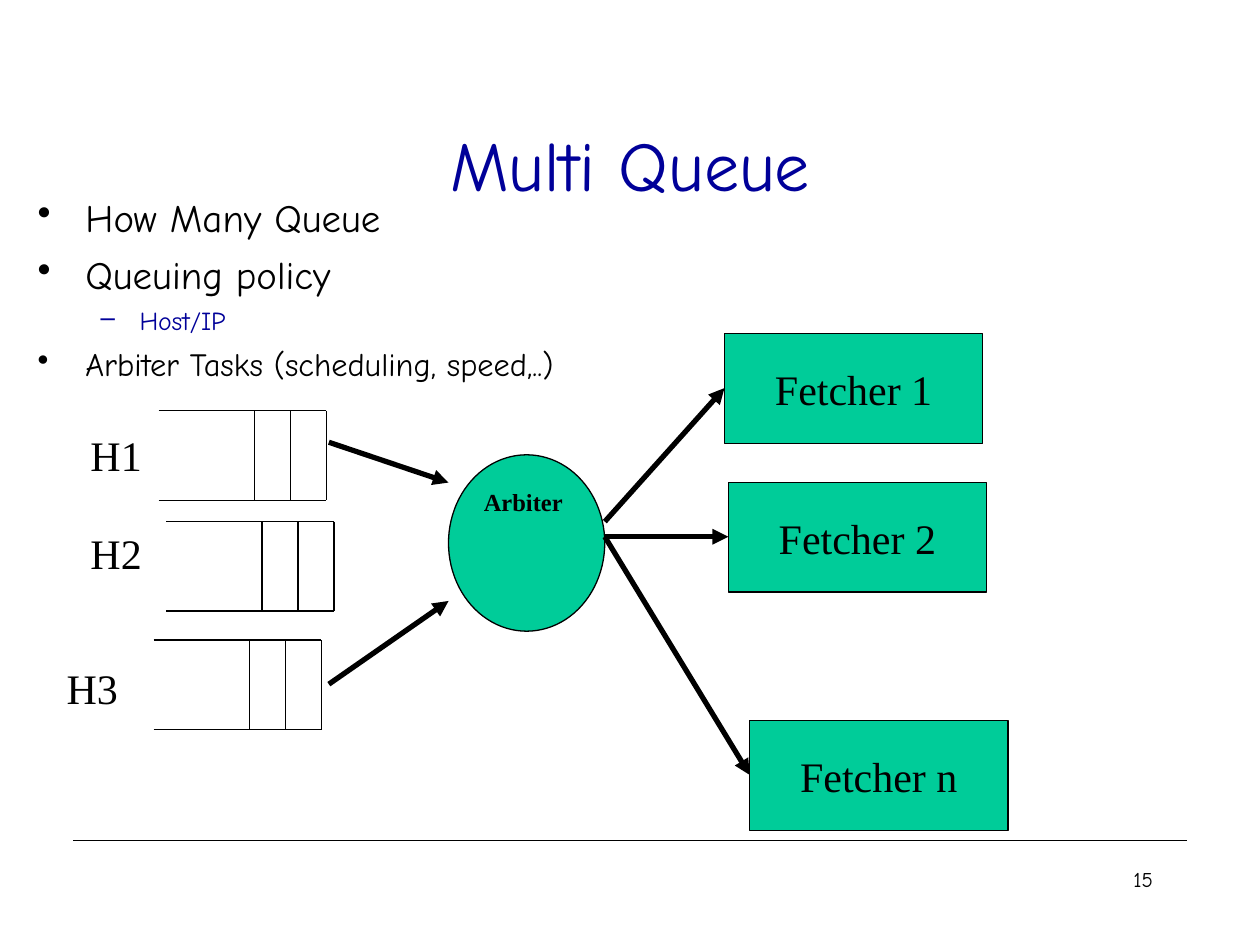
from typing import NamedTuple

from lxml import etree
from pptx import Presentation
from pptx.dml.color import RGBColor
from pptx.enum.shapes import MSO_CONNECTOR, MSO_SHAPE
from pptx.enum.text import MSO_ANCHOR, PP_ALIGN
from pptx.oxml.ns import qn
from pptx.util import Inches, Pt

STRAIGHT = MSO_CONNECTOR.STRAIGHT
RECTANGLE, OVAL = MSO_SHAPE.RECTANGLE, MSO_SHAPE.OVAL
TOP, MIDDLE = MSO_ANCHOR.TOP, MSO_ANCHOR.MIDDLE
LEFT, CENTER, RIGHT = PP_ALIGN.LEFT, PP_ALIGN.CENTER, PP_ALIGN.RIGHT
BLACK, NAVY, GREEN = "000000", "000099", "00CC99"
HAND, SERIF = "Comic Neue", "Times New Roman"
THIN, THICK = 0.74, 3


class Bullet(NamedTuple):
    text: str
    level: int
    size: float
    space_before: float


class Queue(NamedTuple):
    label: str
    label_left: float
    label_top: float
    left: float
    top: float


class Fetcher(NamedTuple):
    label: str
    left: float
    top: float


class Arrow(NamedTuple):
    start: tuple[float, float]
    end: tuple[float, float]


class BulletStyle(NamedTuple):
    mark: str
    color: str
    margin: float
    hanging: float


BULLET_STYLES = [BulletStyle("•", BLACK, 0.38, 0.38), BulletStyle("–", NAVY, 0.81, 0.31)]
BULLETS = [
    Bullet("How Many Queue", 0, 22.2, 6),
    Bullet("Queuing policy", 0, 22.2, 6),
    Bullet("Host/IP", 1, 14.8, 4),
    Bullet("Arbiter Tasks (scheduling, speed,..)", 0, 18.5, 5),
]
QUEUES = [
    Queue("H1", 0.62, 3.36, 1.26, 3.26),
    Queue("H2", 0.62, 4.14, 1.32, 4.14),
    Queue("H3", 0.43, 5.21, 1.22, 5.08),
]
QUEUE_WIDTH, QUEUE_HEIGHT, SLOT_WIDTH = 1.33, 0.71, 0.285
FETCHERS = [
    Fetcher("Fetcher 1", 5.75, 2.65),
    Fetcher("Fetcher 2", 5.78, 3.83),
    Fetcher("Fetcher n", 5.95, 5.72),
]
ARROWS = [
    Arrow((2.61, 3.51), (3.56, 3.83)),
    Arrow((2.61, 5.43), (3.56, 4.77)),
    Arrow((4.8, 4.14), (5.75, 3.08)),
    Arrow((4.8, 4.26), (5.78, 4.26)),
    Arrow((4.8, 4.26), (5.95, 6.15)),
]


def rgb(color: str) -> RGBColor:
    """Turn a hex string into a colour."""
    return RGBColor.from_string(color)


def style_paragraph(paragraph, size, font=SERIF, color=BLACK, align=LEFT, bold=False) -> None:
    """Set the font and alignment of a paragraph."""
    paragraph.alignment = align
    paragraph.font.size = Pt(size)
    paragraph.font.name = font
    paragraph.font.bold = bold
    paragraph.font.color.rgb = rgb(color)


def add_line(shapes, start, end, width=THIN, arrow=False) -> None:
    """Draw a straight black line, optionally with an arrowhead at its end."""
    line = shapes.add_connector(STRAIGHT, *(Inches(value) for value in (*start, *end)))
    line.line.width = Pt(width)
    line.line.color.rgb = rgb(BLACK)
    if arrow:
        etree.SubElement(line.line._get_or_add_ln(), qn("a:tailEnd"), type="triangle")
    etree.SubElement(line._element.spPr, qn("a:effectLst"))


def add_label(slide, text, left, top, width, size, font=SERIF, align=LEFT) -> None:
    """Add a one-line text box."""
    box = slide.shapes.add_textbox(Inches(left), Inches(top), Inches(width), Inches(0.5))
    box.text_frame.word_wrap = True
    box.text_frame.text = text
    style_paragraph(box.text_frame.paragraphs[0], size, font, align=align)


def add_node(slide, kind, bounds, text, size, anchor=MIDDLE, align=CENTER, bold=False) -> None:
    """Add a green outlined shape with text."""
    shape = slide.shapes.add_shape(kind, *(Inches(value) for value in bounds))
    shape.shadow.inherit = False
    shape.fill.solid()
    shape.fill.fore_color.rgb = rgb(GREEN)
    shape.line.color.rgb = rgb(BLACK)
    shape.line.width = Pt(THIN)
    frame = shape.text_frame
    frame.word_wrap = kind == OVAL
    frame.vertical_anchor = anchor
    frame.text = text
    style_paragraph(frame.paragraphs[0], size, align=align, bold=bold)


def add_queue(slide, queue: Queue) -> None:
    """Draw an open-ended queue with two slots, and its label."""
    group = slide.shapes.add_group_shape()
    right, bottom = queue.left + QUEUE_WIDTH, queue.top + QUEUE_HEIGHT
    for y in (queue.top, bottom):
        add_line(group.shapes, (queue.left, y), (right, y))
    for slot in range(3):
        x = right - slot * SLOT_WIDTH
        add_line(group.shapes, (x, queue.top), (x, bottom))
    add_label(slide, queue.label, queue.label_left, queue.label_top, 0.83, 24)


def add_bullets(slide) -> None:
    """Add the bulleted list."""
    box = slide.shapes.add_textbox(Inches(0.2), Inches(1.49), Inches(8.5), Inches(1.57))
    frame = box.text_frame
    frame.word_wrap = True
    for index, bullet in enumerate(BULLETS):
        paragraph = frame.add_paragraph() if index else frame.paragraphs[0]
        style = BULLET_STYLES[bullet.level]
        paragraph.text = bullet.text
        paragraph.level = bullet.level
        paragraph.space_before = Pt(bullet.space_before)
        style_paragraph(paragraph, bullet.size, HAND, style.color)
        properties = paragraph._p.get_or_add_pPr()
        properties.set("marL", str(Inches(style.margin)))
        properties.set("indent", str(-Inches(style.hanging)))
        mark = etree.Element(qn("a:buChar"), char=style.mark)
        properties.find(qn("a:defRPr")).addprevious(mark)


def set_title(slide) -> None:
    """Place and format the title."""
    title = slide.shapes.title
    title.left, title.top = Inches(0.75), Inches(0.67)
    title.width, title.height = Inches(8.5), Inches(1.25)
    title.text_frame.text = "Multi Queue"
    title.text_frame.vertical_anchor = MIDDLE
    style_paragraph(title.text_frame.paragraphs[0], 40, HAND, NAVY, CENTER)


def main() -> None:
    """Build and save the slide."""
    presentation = Presentation()
    presentation.slide_width, presentation.slide_height = Inches(10), Inches(7.5)
    slide = presentation.slides.add_slide(presentation.slide_layouts[5])
    add_line(slide.shapes, (0.58, 6.67), (9.42, 6.67))
    add_label(slide, "15", 7.17, 6.83, 2.08, 12, HAND, RIGHT)
    set_title(slide)
    add_bullets(slide)
    for fetcher in FETCHERS:
        bounds = (fetcher.left, fetcher.top, 2.05, 0.87)
        add_node(slide, RECTANGLE, bounds, fetcher.label, 24)
    add_node(slide, OVAL, (3.56, 3.61, 1.24, 1.4), "Arbiter", 14, TOP, LEFT, bold=True)
    for queue in QUEUES:
        add_queue(slide, queue)
    for arrow in ARROWS:
        add_line(slide.shapes, arrow.start, arrow.end, THICK, arrow=True)
    presentation.save("out.pptx")


main()
